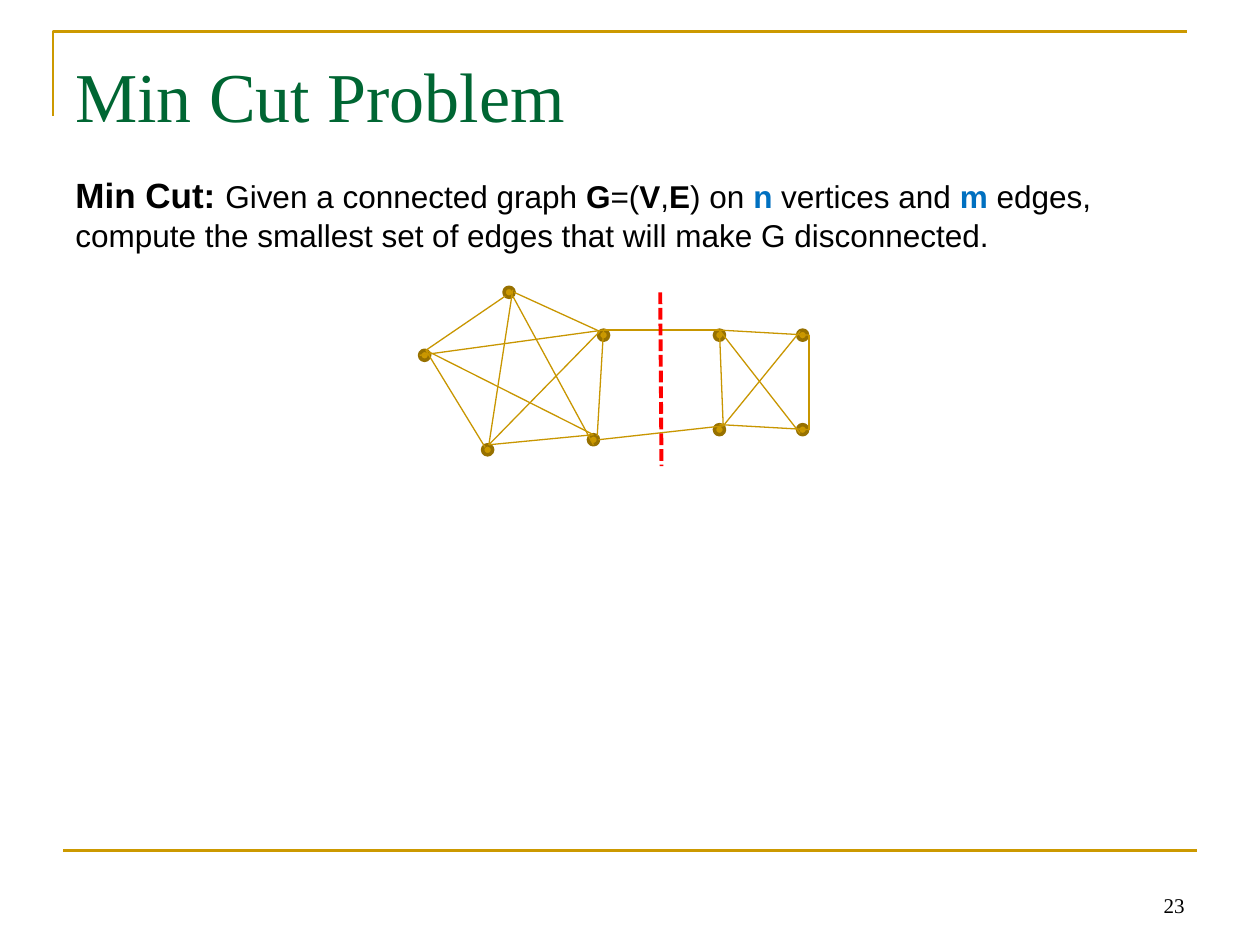
from dataclasses import dataclass
from typing import NamedTuple, Optional

from lxml.etree import SubElement
from pptx import Presentation
from pptx.dml.color import RGBColor
from pptx.enum.dml import MSO_LINE
from pptx.enum.shapes import MSO_CONNECTOR, MSO_SHAPE
from pptx.enum.text import MSO_ANCHOR, PP_ALIGN
from pptx.oxml.ns import qn
from pptx.util import Inches, Pt


@dataclass(frozen=True)
class Theme:
    serif: str = "Times New Roman"
    sans: str = "Arial"
    black: str = "000000"
    green: str = "006633"
    blue: str = "0070C0"
    gold: str = "CC9900"
    rim: str = "977100"
    edge: str = "C89600"
    cut: str = "FF0000"
    title: int = 40
    lead: int = 20
    body: int = 18
    number: int = 12


class Point(NamedTuple):
    x: float
    y: float


class Box(NamedTuple):
    x: float
    y: float
    w: float
    h: float


class Edge(NamedTuple):
    start: Point
    end: Point


class Run(NamedTuple):
    text: str
    size: int
    color: str
    font: str
    bold: bool = False


THEME = Theme()
NODE_SIZE = 0.08

NODES = [Point(*xy) for xy in (
    (4, 2.28), (5.67, 2.62), (3.83, 3.53), (4.67, 3.45), (3.33, 2.78),
    (5.67, 3.37), (6.33, 3.37), (6.33, 2.62), (4.75, 2.62),
)]

LEFT = Point(3.38, 2.78)
BOTTOM = Point(3.88, 3.53)
LOWER = Point(4.71, 3.45)
SHOULDER = Point(4.76, 2.63)
BRIDGE = Point(4.79, 2.62)
SQUARE_TL = Point(5.71, 2.62)
SQUARE_TR = Point(6.42, 2.66)
SQUARE_BL = Point(5.74, 3.38)
SQUARE_BR = Point(6.42, 3.41)

EDGES = [
    Edge(Point(4.01, 2.35), LEFT),
    Edge(BRIDGE, Point(4.74, 3.46)),
    Edge(BOTTOM, Point(4.07, 2.3)),
    Edge(Point(4.08, 2.32), SHOULDER),
    Edge(LEFT, Point(3.85, 3.55)),
    Edge(BOTTOM, LOWER),
    Edge(Point(4.07, 2.35), Point(4.71, 3.53)),
    Edge(SHOULDER, BOTTOM),
    Edge(Point(3.33, 2.82), BRIDGE),
    Edge(LEFT, LOWER),
    Edge(SQUARE_TL, SQUARE_TR),
    Edge(SQUARE_TR, SQUARE_BR),
    Edge(SQUARE_TL, SQUARE_BL),
    Edge(Point(5.71, 3.37), SQUARE_BR),
    Edge(BRIDGE, SQUARE_TL),
    Edge(Point(4.75, 3.49), SQUARE_BL),
    Edge(SQUARE_BL, Point(6.35, 2.63)),
    Edge(SQUARE_TL, Point(6.35, 3.44)),
]
CUT = Edge(Point(5.24, 2.32), Point(5.25, 3.7))


def body_run(text: str, bold: bool = False, color: str = THEME.black) -> Run:
    return Run(text, THEME.body, color, THEME.sans, bold)


STATEMENT = [
    Run("Min Cut: ", THEME.lead, THEME.black, THEME.sans, True),
    body_run("Given a connected graph "),
    body_run("G", True),
    body_run("=("),
    body_run("V", True),
    body_run(","),
    body_run("E", True),
    body_run(") on "),
    body_run("n", True, THEME.blue),
    body_run(" vertices and "),
    body_run("m", True, THEME.blue),
    body_run(" edges, compute the smallest set of edges "
             "that will make G disconnected."),
]


def add_text(s, box: Box, runs: list[Run], align=PP_ALIGN.LEFT,
             anchor=MSO_ANCHOR.TOP, before: float = 0, top: float = 0.05) -> None:
    tf = s.shapes.add_textbox(*map(Inches, box)).text_frame
    tf.word_wrap = True
    tf.vertical_anchor = anchor
    tf.margin_top = Inches(top)
    p = tf.paragraphs[0]
    p.alignment = align
    p.space_before = Pt(before)
    for run in runs:
        r = p.add_run()
        r.text = run.text
        r.font.name = run.font
        r.font.size = Pt(run.size)
        r.font.bold = run.bold
        r.font.color.rgb = RGBColor.from_string(run.color)


def set_line(sp, color: str, width: float, dash: Optional[MSO_LINE] = None) -> None:
    sp.line.color.rgb = RGBColor.from_string(color)
    sp.line.width = Pt(width)
    if dash is not None:
        sp.line.dash_style = dash


def add_line(s, edge: Edge, color: str, width: float,
             dash: Optional[MSO_LINE] = None) -> None:
    sp = s.shapes.add_connector(
        MSO_CONNECTOR.STRAIGHT, *map(Inches, (*edge.start, *edge.end)))
    set_line(sp, color, width, dash)
    SubElement(sp._element.spPr, qn("a:effectLst"))


def add_node(s, node: Point) -> None:
    sp = s.shapes.add_shape(
        MSO_SHAPE.OVAL, *map(Inches, (*node, NODE_SIZE, NODE_SIZE)))
    sp.shadow.inherit = False
    sp.fill.solid()
    sp.fill.fore_color.rgb = RGBColor.from_string(THEME.gold)
    set_line(sp, THEME.rim, 2)


def add_corner_rule(s) -> None:
    fb = s.shapes.build_freeform(Inches(0.42), Inches(0.92))
    fb.add_line_segments(
        [(Inches(0.42), Inches(0.25)), (Inches(9.42), Inches(0.25))], close=False)
    sp = fb.convert_to_shape()
    sp.shadow.inherit = False
    sp.fill.background()
    set_line(sp, THEME.gold, 1.5)


def main() -> None:
    prs = Presentation()
    prs.slide_width, prs.slide_height = Inches(10), Inches(7.5)
    s = prs.slides.add_slide(prs.slide_layouts[6])

    add_corner_rule(s)
    add_line(s, Edge(Point(0.5, 6.75), Point(9.5, 6.75)), THEME.gold, 1.5)
    add_text(s, Box(0.5, 0.3, 9, 1.25),
             [Run("Min Cut Problem", THEME.title, THEME.green, THEME.serif)],
             top=0.12)
    add_text(s, Box(7.17, 6.83, 2.33, 0.5),
             [Run("23", THEME.number, THEME.black, THEME.serif)],
             PP_ALIGN.RIGHT, MSO_ANCHOR.BOTTOM)
    add_text(s, Box(0.5, 1.33, 9, 4.95), STATEMENT, before=4)

    for node in NODES:
        add_node(s, node)
    for edge in EDGES:
        add_line(s, edge, THEME.edge, 0.75)
    add_line(s, CUT, THEME.cut, 2.25, MSO_LINE.SQUARE_DOT)

    prs.save("out.pptx")


if __name__ == "__main__":
    main()
